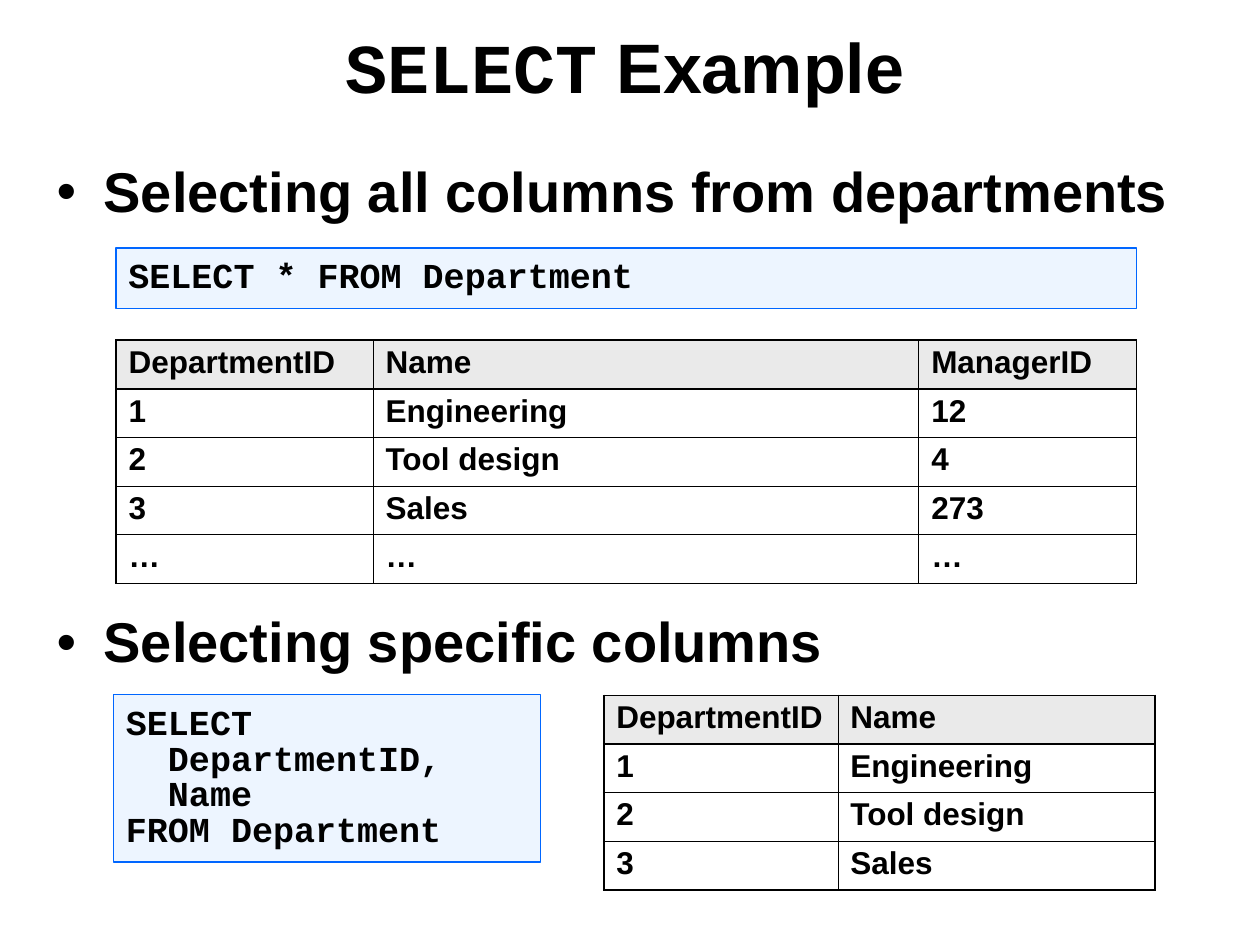
from lxml.etree import SubElement
from pptx import Presentation
from pptx.dml.color import RGBColor
from pptx.enum.shapes import MSO_SHAPE as Shape
from pptx.enum.text import MSO_ANCHOR as Anchor, MSO_AUTO_SIZE as AutoSize, PP_ALIGN as Align
from pptx.oxml.ns import qn
from pptx.util import Cm, Pt

BLACK = RGBColor(0x00, 0x00, 0x00)
HEADER_GRAY = RGBColor(0xEA, 0xEA, 0xEA)
CODE_FILL = RGBColor(0xDD, 0xEC, 0xFF)
CODE_LINE = RGBColor(0x00, 0x66, 0xFF)
SANS, MONO = "Arial", "Courier New"
THICK, THIN = 1.08, 0.45
ROW_HEIGHT = 0.98


def write(para, text, size=18, font=SANS, spacing=0.95):
    """Add one bold black span to a left-aligned paragraph."""
    para.alignment = Align.LEFT
    para.line_spacing = spacing
    span = para.add_run()
    span.text = text
    span.font.name = font
    span.font.size = Pt(size)
    span.font.bold = True
    span.font.color.rgb = BLACK


def add_color(parent, color):
    SubElement(parent, qn("a:srgbClr"), val=str(color))


def set_border(cell, side, width):
    line = SubElement(cell._tc.get_or_add_tcPr(), qn(f"a:ln{side}"), w=str(Pt(width)))
    add_color(SubElement(line, qn("a:solidFill")), BLACK)


class SlideBuilder:
    def __init__(self, page):
        self.page = page

    def text_box(self, left, top, width, height, anchor=Anchor.TOP):
        box = self.page.shapes.add_textbox(Cm(left), Cm(top), Cm(width), Cm(height))
        frame = box.text_frame
        frame.word_wrap = True
        frame.vertical_anchor = anchor
        return frame.paragraphs[0]

    def title(self, code, rest):
        para = self.text_box(6.71, 0.2, 18.21, 2.51, Anchor.MIDDLE)
        write(para, code, size=40, font=MONO, spacing=0.85)
        write(para, rest, size=40, spacing=0.85)

    def bullet(self, text, top):
        para = self.text_box(0.89, top, 23.6, 1.5)
        props = para._p.get_or_add_pPr()
        props.set("marL", str(Cm(0.95)))
        props.set("indent", str(-Cm(0.95)))
        add_color(SubElement(props, qn("a:buClr")), BLACK)
        SubElement(props, qn("a:buFont"), typeface=SANS)
        SubElement(props, qn("a:buChar"), char="•")
        write(para, text, size=32)

    def code(self, lines, left, top, width, height):
        box = self.page.shapes.add_shape(
            Shape.RECTANGLE, Cm(left), Cm(top), Cm(width), Cm(height))
        box.shadow.inherit = False
        box.fill.solid()
        box.fill.fore_color.rgb = CODE_FILL
        color = box.fill._xPr.find(f".//{qn('a:srgbClr')}")
        SubElement(color, qn("a:alpha"), val="50000")
        box.line.color.rgb = CODE_LINE
        box.line.width = Pt(0.75)
        frame = box.text_frame
        frame.word_wrap = True
        frame.auto_size = AutoSize.SHAPE_TO_FIT_TEXT
        frame.vertical_anchor = Anchor.TOP
        frame.margin_top = frame.margin_bottom = Cm(0.25)
        for index, line in enumerate(lines):
            para = frame.add_paragraph() if index else frame.paragraphs[0]
            write(para, line, size=20, font=MONO, spacing=0.85)

    def table(self, rows, left, top, widths):
        last_row, last_column = len(rows) - 1, len(widths) - 1
        table = self.page.shapes.add_table(
            len(rows), len(widths), Cm(left), Cm(top),
            Cm(sum(widths)), Cm(ROW_HEIGHT * len(rows))).table
        table.first_row = table.horz_banding = False
        for column, width in zip(table.columns, widths):
            column.width = Cm(width)
        for r, values in enumerate(rows):
            table.rows[r].height = Cm(ROW_HEIGHT)
            for c, value in enumerate(values):
                cell = table.cell(r, c)
                write(cell.text_frame.paragraphs[0], value)
                # Thick frame and header rule, thin inner grid
                heavy = {"L": c == 0, "R": c == last_column,
                         "T": r <= 1, "B": r in (0, last_row)}
                for side, is_heavy in heavy.items():
                    set_border(cell, side, THICK if is_heavy else THIN)
                if r == 0:
                    cell.fill.solid()
                    cell.fill.fore_color.rgb = HEADER_GRAY
                else:
                    cell.fill.background()


def main():
    deck = Presentation()
    deck.slide_width, deck.slide_height = Cm(25.4), Cm(19.05)
    slide = SlideBuilder(deck.slides.add_slide(deck.slide_layouts[6]))

    slide.title("SELECT", " Example")

    # All columns
    departments = [
        ("DepartmentID", "Name", "ManagerID"),
        ("1", "Engineering", "12"),
        ("2", "Tool design", "4"),
        ("3", "Sales", "273"),
    ]
    slide.bullet("Selecting all columns from departments", top=3.12)
    slide.code(["SELECT * FROM Department"], 2.34, 5, 20.57, 1.22)
    slide.table(departments + [("…",) * 3], 2.34, 6.86, [5.18, 11, 4.39])

    # Specific columns
    slide.bullet("Selecting specific columns", top=12.2)
    slide.code(["SELECT", "  DepartmentID,", "  Name", "FROM Department"],
               2.29, 14, 8.61, 3.38)
    slide.table([row[:2] for row in departments], 12.17, 14.02, [4.72, 6.4])

    deck.save("out.pptx")


if __name__ == "__main__":
    main()
